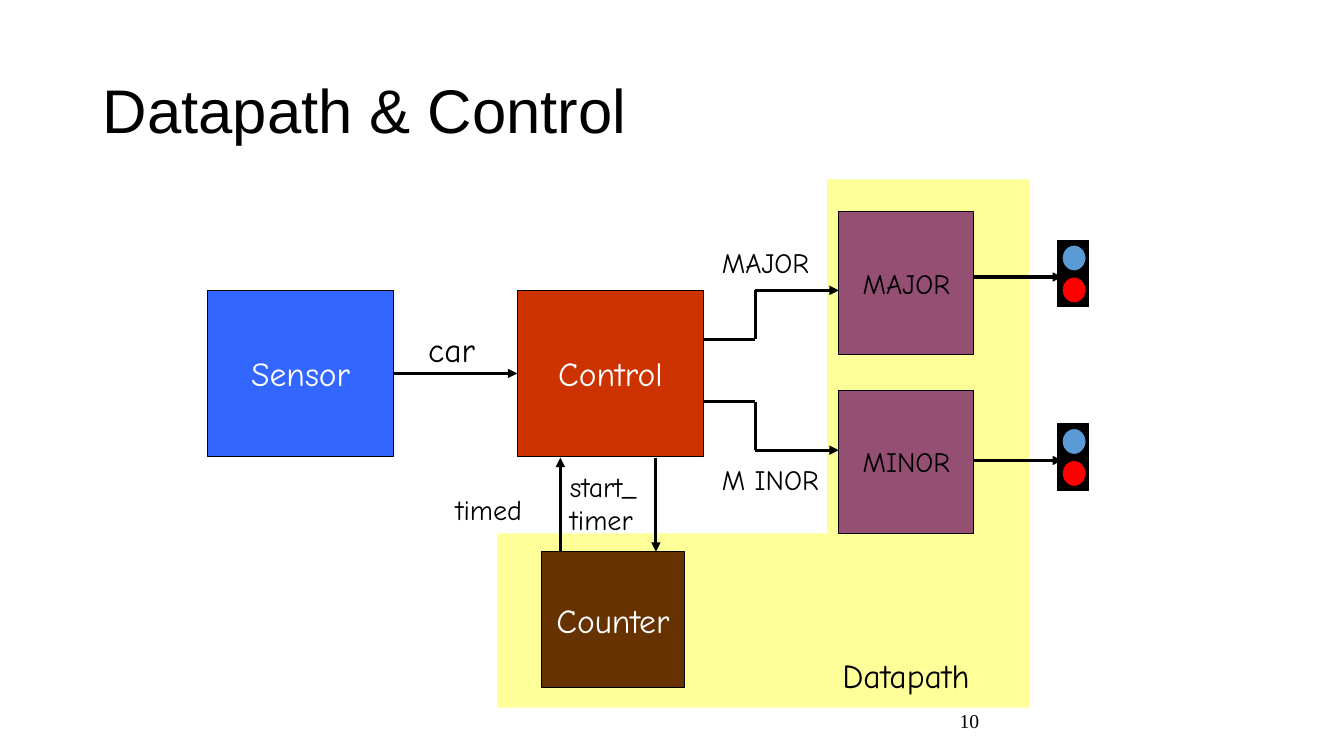
import dataclasses
import itertools

import pptx
import pptx.dml.color
import pptx.enum.shapes
import pptx.enum.text
import pptx.oxml
import pptx.oxml.ns
import pptx.util

RGBColor = pptx.dml.color.RGBColor
BLACK = RGBColor(0x00, 0x00, 0x00)
WHITE = RGBColor(0xFF, 0xFF, 0xFF)
YELLOW = RGBColor(0xFF, 0xFF, 0x99)
RED_BROWN = RGBColor(0xCC, 0x33, 0x00)
BLUE = RGBColor(0x33, 0x66, 0xFF)
BROWN = RGBColor(0x66, 0x33, 0x00)
PLUM = RGBColor(0x95, 0x4F, 0x72)
LAMP_RED = RGBColor(0xFF, 0x00, 0x00)
LAMP_BLUE = RGBColor(0x5B, 0x9B, 0xD5)

COLUMNS, ROWS = 133.3, 75
SLIDE_WIDTH, SLIDE_HEIGHT = pptx.util.Inches(13.33), pptx.util.Inches(7.5)
DIAGRAM_FONT = "Comic Neue"
LEFT, CENTER = pptx.enum.text.PP_ALIGN.LEFT, pptx.enum.text.PP_ALIGN.CENTER
TOP, MIDDLE = pptx.enum.text.MSO_ANCHOR.TOP, pptx.enum.text.MSO_ANCHOR.MIDDLE
RECTANGLE = pptx.enum.shapes.MSO_SHAPE.RECTANGLE
OVAL = pptx.enum.shapes.MSO_SHAPE.OVAL
NO_INSETS = {"margin_left": 0, "margin_top": 0, "margin_right": 0, "margin_bottom": 0}


@dataclasses.dataclass
class Box:
    """Area of the slide in grid columns and rows."""

    left: float
    top: float
    width: float
    height: float

    def inner(self, left, top, width, height):
        """Return the area given as shares of this one."""
        return Box(self.left + left * self.width, self.top + top * self.height,
                   width * self.width, height * self.height)

    def point(self, across, down):
        """Return the slide position of a point given as shares."""
        corner = self.inner(across, down, 0, 0)
        return (round(corner.left / COLUMNS * SLIDE_WIDTH),
                round(corner.top / ROWS * SLIDE_HEIGHT))

    def extent(self):
        """Return left, top, width and height in slide units."""
        left, top = self.point(0, 0)
        right, bottom = self.point(1, 1)
        return left, top, right - left, bottom - top


def apply_format(target, values):
    """Set every attribute named in a dict of format values."""
    for name, value in values.items():
        setattr(target, name, value)


def write_text(shape, text, size, color=BLACK, font=DIAGRAM_FONT,
               alignment=LEFT, anchor=TOP, frame_format=None, line_spacing=None):
    """Fill a shape with formatted text."""
    frame = shape.text_frame
    frame.text = text
    apply_format(frame, {"word_wrap": False, "vertical_anchor": anchor,
                         **(frame_format or {})})
    for paragraph in frame.paragraphs:
        apply_format(paragraph, {"alignment": alignment, "line_spacing": line_spacing})
        for run in paragraph.runs:
            apply_format(run.font, {"size": pptx.util.Pt(size), "name": font})
            run.font.color.rgb = color


def add_label(slide, box, text, size, **text_format):
    """Add a text box."""
    write_text(slide.shapes.add_textbox(*box.extent()), text, size, **text_format)


def add_filled(slide, box, color, kind=RECTANGLE, outlined=True):
    """Add a flat filled shape and return it."""
    shape = slide.shapes.add_shape(kind, *box.extent())
    shape.shadow.inherit = False
    shape.fill.solid()
    shape.fill.fore_color.rgb = color
    if outlined:
        shape.line.color.rgb = BLACK
        shape.line.width = pptx.util.Pt(0.75)
    else:
        shape.line.fill.background()
    return shape


def add_block(slide, box, text, fill, size=24, color=WHITE):
    """Add a labelled block of the diagram."""
    write_text(add_filled(slide, box, fill), text, size, color,
               alignment=CENTER, anchor=MIDDLE)


def add_arrow(slide, box, *points):
    """Join points of a box by lines with an arrowhead at the last one."""
    for start, end in itertools.pairwise(points):
        connector = slide.shapes.add_connector(
            pptx.enum.shapes.MSO_CONNECTOR.STRAIGHT, *box.point(*start), *box.point(*end))
        connector.line.color.rgb = BLACK
        connector.line.width = pptx.util.Pt(2.25)
        properties = connector._element.spPr
        properties.append(pptx.oxml.parse_xml(
            f"<a:effectLst {pptx.oxml.ns.nsdecls('a')}/>"))
    properties.find(pptx.oxml.ns.qn("a:ln")).append(pptx.oxml.parse_xml(
        f"<a:tailEnd {pptx.oxml.ns.nsdecls('a')} type='triangle'/>"))


def add_title(slide, box, text):
    """Place and format the title."""
    title = slide.shapes.title
    apply_format(title, dict(zip(("left", "top", "width", "height"), box.extent())))
    write_text(title, text, 44, font="Arial", anchor=MIDDLE,
               frame_format={"word_wrap": True}, line_spacing=0.9)


def add_datapath(slide, box):
    """Add the L-shaped datapath background and its label."""
    for area in (box.inner(0, 0.67, 0.62, 0.33), box.inner(0.62, 0, 0.38, 1)):
        add_filled(slide, area, YELLOW, outlined=False)
    add_label(slide, box.inner(0.63, 0.89, 0.31, 0.1), "Datapath", 24)


def add_sensor(slide, box):
    """Add the sensor and its signal to the control."""
    add_block(slide, box.inner(0, 0, 0.6, 1), "Sensor", BLUE)
    add_arrow(slide, box, (0.6, 0.5), (1, 0.5))
    add_label(slide, box.inner(0.68, 0.2, 0.23, 0.3), "car", 24)


def add_counter(slide, box):
    """Add the counter and the two signals it shares with the control."""
    add_block(slide, box.inner(0.4, 0.41, 0.6, 0.59), "Counter", BROWN)
    add_arrow(slide, box, (0.48, 0.41), (0.48, 0))
    add_arrow(slide, box, (0.88, 0), (0.88, 0.41))
    add_label(slide, box.inner(0, 0.13, 0.4, 0.19), "timed", 20)
    add_label(slide, box.inner(0.52, 0.05, 0.36, 0.29), "start_\ntimer", 20,
              frame_format=NO_INSETS)


def add_branch(slide, box, name, signal, start, end, label_top):
    """Add a road block fed by a stepped arrow from the control."""
    add_block(slide, box.inner(0.5, 0, 0.5, 1), name, PLUM, 20, BLACK)
    add_arrow(slide, box, (0, start), (0.19, start), (0.19, end), (0.5, end))
    add_label(slide, box.inner(0.03, label_top, 0.47, 0.31), signal, 20)


def add_traffic_light(slide, box):
    """Add a two-lamp traffic light and the arrow that drives it."""
    add_filled(slide, box.inner(0.73, 0, 0.27, 1), BLACK)
    for top, color in ((0.55, LAMP_RED), (0.07, LAMP_BLUE)):
        add_filled(slide, box.inner(0.77, top, 0.21, 0.39), color, OVAL)
    add_arrow(slide, box, (0, 0.55), (0.77, 0.55))


def build_datapath_slide(presentation):
    """Build the datapath and control slide."""
    slide = presentation.slides.add_slide(presentation.slide_layouts[5])
    add_label(slide, Box(94.2, 69.5, 30, 4), "10", 14, font="Times New Roman",
              anchor=MIDDLE, frame_format={"word_wrap": True})
    add_datapath(slide, Box(49.3, 17.8, 52.8, 52.4))
    add_title(slide, Box(9.2, 4, 115, 14.5), "Datapath & Control")
    add_block(slide, Box(51.3, 28.8, 18.5, 16.5), "Control", RED_BROWN)
    add_sensor(slide, Box(20.6, 28.8, 30.7, 16.5))
    add_counter(slide, Box(44.2, 45.4, 23.7, 22.8))
    branches = (("MAJOR", "MAJOR", 0.89, 0.55, 0.2),
                ("MINOR", "M INOR", 0.08, 0.42, 0.47))
    for index, branch in enumerate(branches):
        add_branch(slide, Box(69.8, 21 + 17.7 * index, 26.8, 14.2), *branch)
        add_traffic_light(slide, Box(96.6, 23.85 + 18.2 * index, 11.35, 6.6))


presentation = pptx.Presentation()
apply_format(presentation, {"slide_width": SLIDE_WIDTH, "slide_height": SLIDE_HEIGHT})
build_datapath_slide(presentation)
presentation.save("out.pptx")
